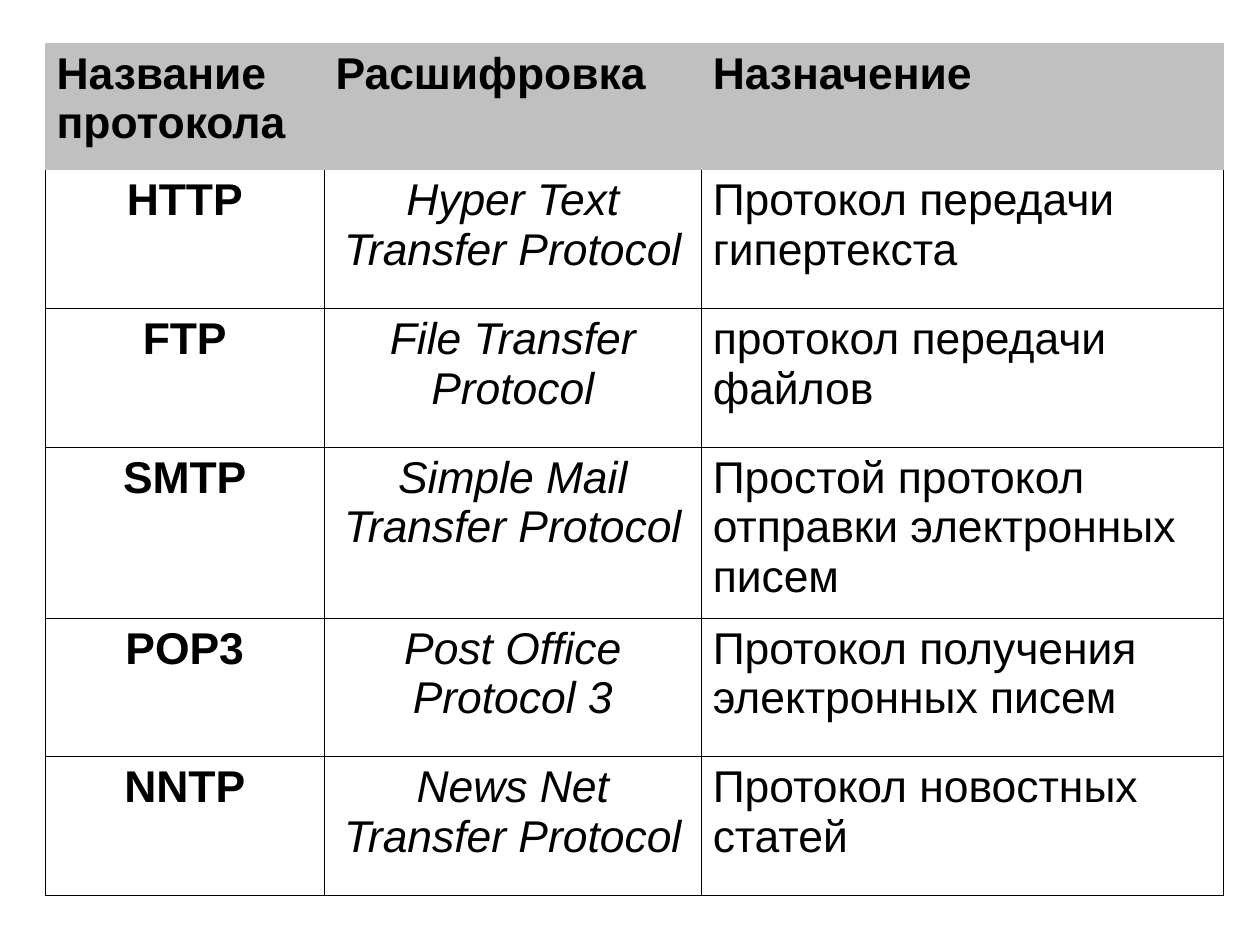
from pptx import Presentation
from pptx.dml.color import RGBColor
from pptx.enum.text import PP_ALIGN
from pptx.oxml import parse_xml
from pptx.oxml.ns import nsdecls
from pptx.util import Pt

HEADER = ("Название протокола", "Расшифровка", "Назначение")
PROTOCOLS = [
    ("HTTP", "Hyper Text Transfer Protocol", "Протокол передачи гипертекста"),
    ("FTP", "File Transfer Protocol", "протокол передачи файлов"),
    ("SMTP", "Simple Mail Transfer Protocol",
     "Простой протокол отправки электронных писем"),
    ("POP3", "Post Office Protocol 3", "Протокол получения электронных писем"),
    ("NNTP", "News Net Transfer Protocol", "Протокол новостных статей"),
]
COLUMN_WIDTHS = (175.7, 237.6, 329)
ROW_HEIGHTS = (79.9, 87.3, 87.3, 107.8, 87.3, 87.3)
BLACK, GREY = "000000", "C0C0C0"


def color(value):
    return RGBColor.from_string(value)


def add_border(cell, side, visible):
    fill = f'<a:solidFill><a:srgbClr val="{BLACK}"/></a:solidFill>' if visible else "<a:noFill/>"
    width = Pt(0.75) if visible else 0
    cell._tc.get_or_add_tcPr().append(
        parse_xml(f'<a:ln{side} {nsdecls("a")} w="{width}">{fill}</a:ln{side}>'))


deck = Presentation()
deck.slide_width, deck.slide_height = Pt(793.7), Pt(595.28)
slide = deck.slides.add_slide(deck.slide_layouts[6])

frame = slide.shapes.add_table(len(ROW_HEIGHTS), len(COLUMN_WIDTHS), Pt(28.5), Pt(27.2),
                               Pt(sum(COLUMN_WIDTHS)), Pt(sum(ROW_HEIGHTS)))
table = frame.table
table.horz_banding = False
for column, width in zip(table.columns, COLUMN_WIDTHS):
    column.width = Pt(width)
for row, height in zip(table.rows, ROW_HEIGHTS):
    row.height = Pt(height)

for row_index, texts in enumerate([HEADER, *PROTOCOLS]):
    is_header = row_index == 0
    for column_index, text in enumerate(texts):
        cell = table.cell(row_index, column_index)
        cell.text = text
        for side in "LRTB":
            visible = not is_header and not (side == "T" and row_index == 1)
            add_border(cell, side, visible)
        if is_header:
            cell.fill.solid()
            cell.fill.fore_color.rgb = color(GREY)
        else:
            cell.fill.background()

        para = cell.text_frame.paragraphs[0]
        centered = not is_header and column_index < 2
        para.alignment = PP_ALIGN.CENTER if centered else PP_ALIGN.LEFT
        font = para.font
        font.name, font.size = "Arial", Pt(28)
        font.color.rgb = color(BLACK)
        font.bold = is_header or column_index == 0
        font.italic = not is_header and column_index == 1

deck.save("out.pptx")
